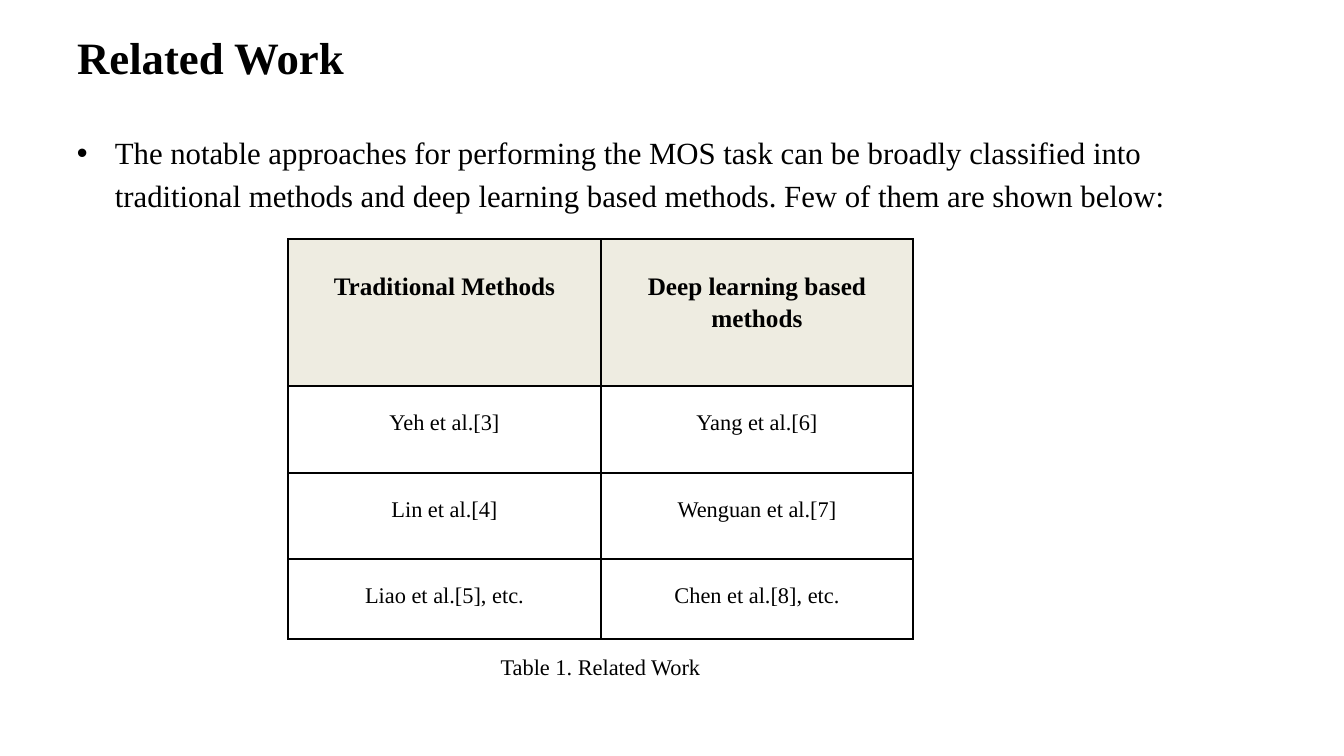
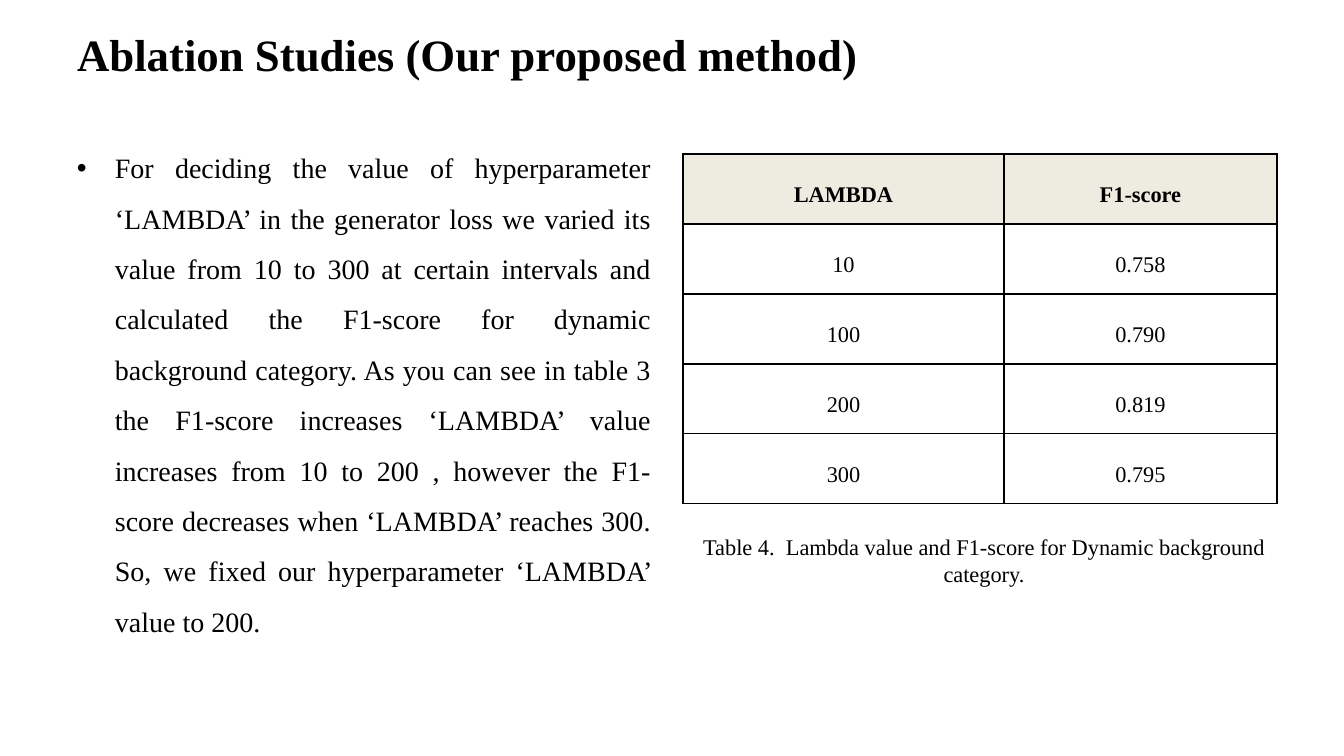
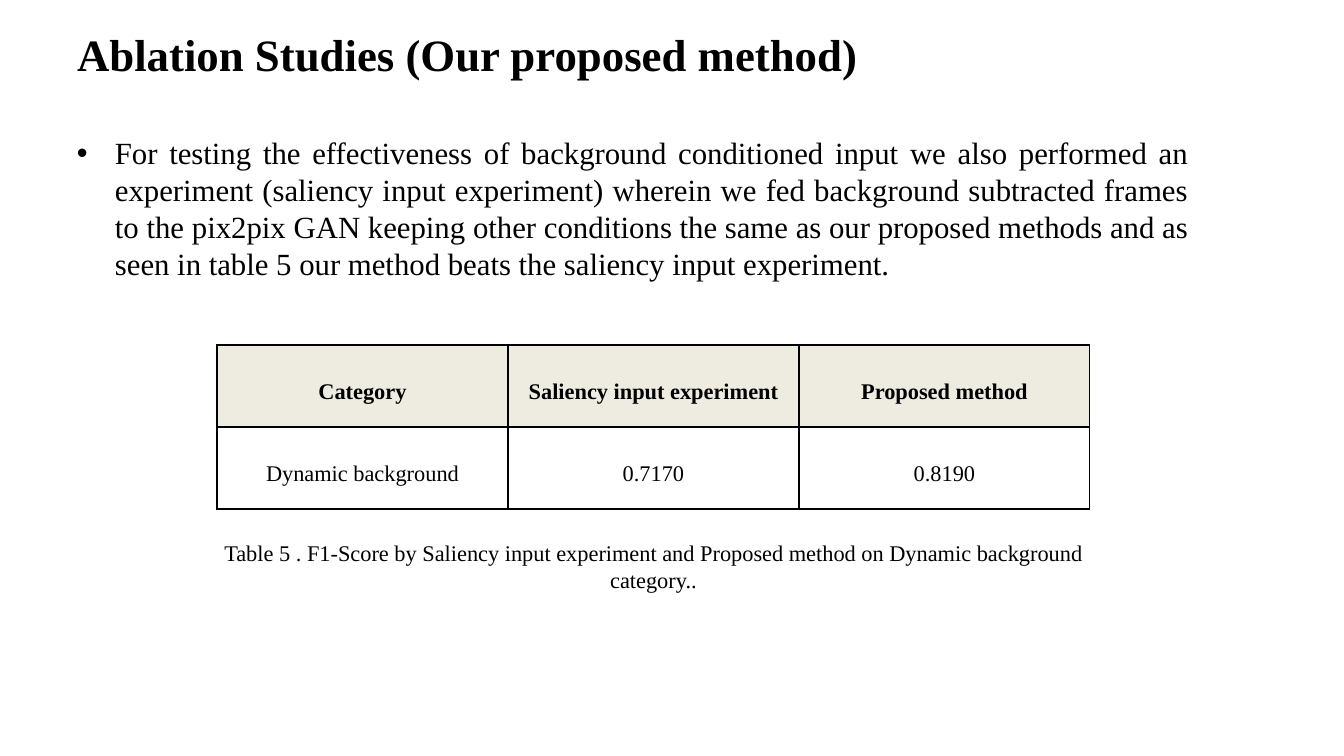
from lxml import etree
from pptx import Presentation
from pptx.dml.color import RGBColor
from pptx.enum.text import MSO_ANCHOR, MSO_AUTO_SIZE, PP_ALIGN
from pptx.oxml.ns import qn
from pptx.util import Emu, Pt

LEFT, CENTER, JUSTIFY = PP_ALIGN.LEFT, PP_ALIGN.CENTER, PP_ALIGN.JUSTIFY
TOP, MIDDLE = MSO_ANCHOR.TOP, MSO_ANCHOR.MIDDLE
NO_FIT = MSO_AUTO_SIZE.NONE

W, H = 1344, 756
SCALE = 12192000 / W
FONT = "Times New Roman"
BLACK, WHITE, HEADER = "000000", "FFFFFF", "EEECE1"
INDENT = 38
TITLE_LEFT, TITLE_W, TITLE_H = 67, 1210, 65

SLIDES = [
    {
        "title": "Related Work",
        "title_top": 24,
        "body": [
            "The notable approaches for performing the MOS task can be broadly classified into",
            "traditional methods and deep learning based methods. Few of them are shown below:",
        ],
        "body_box": (67, 129, 1140, 100),
        "body_format": {"size": 22, "before": 4.4},
        "table": {
            "at": (288, 239),
            "cols": [313, 312],
            "rows": [147, 87, 86, 80],
            "cells": [
                ("Traditional Methods", "Deep learning based methods"),
                ("Yeh et al.[3]", "Yang et al.[6]"),
                ("Lin et al.[4]", "Wenguan et al.[7]"),
                ("Liao et al.[5], etc.", "Chen et al.[8], etc."),
            ],
            "header_size": 18,
            "spacing": (1.15, 1),
            "anchor": TOP,
            "side": 7,
            "tops": [30, 25, 25, 25],
        },
        "caption": "Table 1. Related Work",
        "caption_box": (288, 648, 625, 37),
    },
    {
        "title": "Ablation Studies (Our proposed method)",
        "title_top": 21,
        "body": [
            "For deciding the value of hyperparameter ‘LAMBDA’ in the generator loss we varied "
            "its value from 10 to 300 at certain intervals and calculated the F1-score for "
            "dynamic background category. As you can see in table 3 the F1-score increases "
            "‘LAMBDA’ value increases from 10 to 200 , however the F1-score decreases when "
            "‘LAMBDA’ reaches 300. So, we fixed our hyperparameter ‘LAMBDA’ value to 200.",
        ],
        "body_box": (67, 129, 594, 546),
        "body_format": {"size": 20, "before": 4, "align": JUSTIFY, "spacing": 1.5},
        "table": {
            "at": (683, 154),
            "cols": [321, 273],
            "rows": [70] * 5,
            "cells": [
                ("LAMBDA", "F1-score"),
                ("10", "0.758"),
                ("100", "0.790"),
                ("200", "0.819"),
                ("300", "0.795"),
            ],
        },
        "caption": "Table 4.  Lambda value and F1-score for Dynamic background category.",
        "caption_box": (683, 528, 602, 95),
    },
    {
        "title": "Ablation Studies (Our proposed method)",
        "title_top": 21,
        "body": [
            "For testing the effectiveness of background conditioned input we also performed an "
            "experiment (saliency input experiment) wherein we fed background subtracted frames "
            "to the pix2pix GAN keeping other conditions the same as our proposed methods and as "
            "seen in table 5 our method beats the saliency input experiment.",
        ],
        "body_box": (67, 129, 1131, 253),
        "body_format": {"size": 22, "before": 4.4, "align": JUSTIFY},
        "table": {
            "at": (217, 345),
            "cols": [291] * 3,
            "rows": [82] * 2,
            "cells": [
                ("Category", "Saliency input experiment", "Proposed method"),
                ("Dynamic background", "0.7170", "0.8190"),
            ],
        },
        "caption": "Table 5 . F1-Score by Saliency input experiment and Proposed method "
                   "on Dynamic background category..",
        "caption_box": (204, 534, 899, 95),
    },
]


def px(n):
    return Emu(round(n * SCALE))


def rgb(color):
    return RGBColor.from_string(color)


def write(p, text, size=16, bold=False, align=LEFT, spacing=1, before=0):
    p.alignment, p.line_spacing, p.space_before = align, spacing, Pt(before)
    r = p.add_run()
    r.text = text
    r.font.name, r.font.size, r.font.bold = FONT, Pt(size), bold
    r.font.color.rgb = rgb(BLACK)


def indent(p, bullet):
    pPr = p._p.get_or_add_pPr()
    pPr.set("marL", str(px(INDENT)))
    pPr.set("indent", str(-px(INDENT) if bullet else 0))
    if bullet:
        etree.SubElement(pPr, qn("a:buFont")).set("typeface", "Arial")
        etree.SubElement(pPr, qn("a:buChar")).set("char", "•")


def add_title(s, text, top):
    sp = s.shapes.title
    sp.left, sp.top, sp.width, sp.height = map(px, (TITLE_LEFT, top, TITLE_W, TITLE_H))
    tf = sp.text_frame
    tf.vertical_anchor, tf.auto_size = MIDDLE, NO_FIT
    write(tf.paragraphs[0], text, size=32, bold=True)


def add_text(s, box, lines, bulleted=False, **fmt):
    tf = s.shapes.add_textbox(*map(px, box)).text_frame
    tf.word_wrap = True
    for i, line in enumerate(lines):
        p = tf.add_paragraph() if i else tf.paragraphs[0]
        write(p, line, **fmt)
        if bulleted:
            indent(p, bullet=i == 0)


def add_borders(cell):
    tcPr = cell._tc.get_or_add_tcPr()
    for i, side in enumerate(("lnL", "lnR", "lnT", "lnB")):
        ln = etree.Element(qn(f"a:{side}"), w=str(Pt(1)))
        fill = etree.SubElement(ln, qn("a:solidFill"))
        etree.SubElement(fill, qn("a:srgbClr")).set("val", BLACK)
        tcPr.insert(i, ln)


def add_table(s, at, cols, rows, cells, header_size=16, spacing=(1.5, 1.5),
              anchor=MIDDLE, side=5, tops=None):
    box = (*at, sum(cols), sum(rows))
    table = s.shapes.add_table(len(rows), len(cols), *map(px, box)).table
    for column, width in zip(table.columns, cols):
        column.width = px(width)
    for i, (row, height) in enumerate(zip(table.rows, rows)):
        row.height = px(height)
        header = i == 0
        for cell, text in zip(row.cells, cells[i]):
            cell.margin_left = cell.margin_right = px(side)
            cell.margin_top, cell.margin_bottom = px(tops[i] if tops else 0), 0
            cell.vertical_anchor = anchor
            cell.fill.solid()
            cell.fill.fore_color.rgb = rgb(HEADER if header else WHITE)
            add_borders(cell)
            write(cell.text_frame.paragraphs[0], text, size=header_size if header else 16,
                  bold=header, align=CENTER, spacing=spacing[0 if header else 1])


def main():
    prs = Presentation()
    prs.slide_width, prs.slide_height = px(W), px(H)
    for item in SLIDES:
        s = prs.slides.add_slide(prs.slide_layouts[5])
        add_title(s, item["title"], item["title_top"])
        add_text(s, item["body_box"], item["body"], bulleted=True, **item["body_format"])
        add_text(s, item["caption_box"], [item["caption"]], align=CENTER)
        add_table(s, **item["table"])
    prs.save("out.pptx")


if __name__ == "__main__":
    main()
